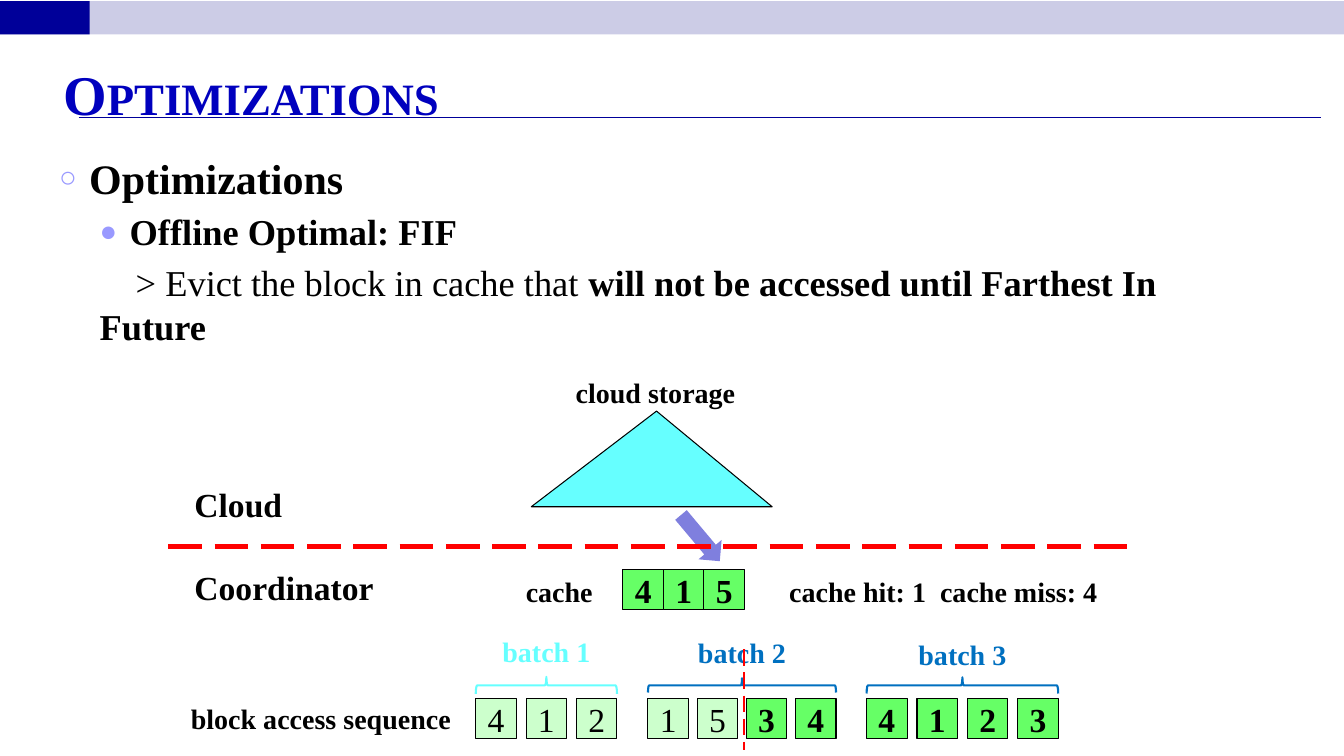
"""Builds the slide on the offline optimal caching strategy."""
from lxml import etree
from pptx import Presentation
from pptx import util as u
from pptx.dml.color import RGBColor
from pptx.enum import dml, shapes, text
from pptx.oxml.ns import qn

FONT = "Times New Roman"
BLACK, WHITE, RED = "000000", "FFFFFF", "FF0000"
NAVY, TITLE_BLUE, LAVENDER, BULLET = "000099", "0000BE", "CCCCE6", "9999FF"
AQUA, BLUE, USED, PENDING = "66FFFF", "0070C0", "CCFFCC", "66FF66"

TITLE = "Optimizations"
# level, left margin, first-line indent, space before, size, bullet, runs
OUTLINE = [
    (0, 0.76, -0.76, 6, 30, ("○", 70), [("Optimizations", True)]),
    (1, 1.78, -0.76, 5, 26, ("●", 80), [("Offline Optimal: FIF", True)]),
    (1, 1.02, 0.91, 5, 26, None, [
        ("> Evict the block in cache that ", False),
        ("will not be accessed until Farthest In Future", True)]),
]
# name, colour, first block left, step, blocks, accessed count, label top, brace depth
BATCHES = [
    ("batch 1", AQUA, 11.99, 1.27, "412", 3, 15.85, 0.43),
    ("batch 2", BLUE, 16.33, 1.24, "1534", 2, 15.88, 0.36),
    ("batch 3", BLUE, 21.84, 1.27, "4123", 0, 15.93, 0.41),
]
CACHE = "415"
CAPTIONS = [
    ("cache", 12.95, 14.35, 2.29),
    ("cache hit: 1  cache miss: 4", 19.23, 14.33, 9.09),
    ("cloud storage", 13.79, 9.32, 5.46),
    ("block access sequence", 4.52, 17.53, 7.14),
]
ZONES = [("Cloud", 12.07, 2.9), ("Coordinator", 14.17, 5.11)]
BLOCK, BLOCK_TOP, CACHE_LEFT, CACHE_TOP = 1.02, 17.6, 15.7, 14.35
BRACE_MIDDLE, LABEL_WIDTH, CAPTION_HEIGHT = 17.27, 3.91, 1.12

deck = Presentation()
deck.slide_width, deck.slide_height = u.Cm(33.87), u.Cm(19.05)
slide = deck.slides.add_slide(deck.slide_layouts[6])


def rgb(value):
    return RGBColor.from_string(value)


def style(font, size, colour=BLACK, bold=None):
    font.name, font.size, font.bold = FONT, u.Pt(size), bold
    font.color.rgb = rgb(colour)


def add_figure(kind, box, fill, line=None, width=0.75):
    figure = slide.shapes.add_shape(kind, *map(u.Cm, box))
    figure.shadow.inherit = False
    figure.fill.solid()
    figure.fill.fore_color.rgb = rgb(fill)
    if line:
        figure.line.color.rgb = rgb(line)
        figure.line.width = u.Pt(width)
    else:
        figure.line.fill.background()
    return figure


def add_rule(start, end, colour, width, dashed=True):
    rule = slide.shapes.add_connector(
        shapes.MSO_CONNECTOR.STRAIGHT, *map(u.Cm, start + end))
    rule.line.color.rgb = rgb(colour)
    rule.line.width = u.Pt(width)
    if dashed:
        rule.line.dash_style = dml.MSO_LINE.LONG_DASH
    etree.SubElement(rule._element.spPr, qn("a:effectLst"))


def add_frame(box, anchor=text.MSO_ANCHOR.TOP):
    frame = slide.shapes.add_textbox(*map(u.Cm, box)).text_frame
    frame.word_wrap, frame.vertical_anchor = True, anchor
    return frame


def write(frame, words, size, colour=BLACK, bold=True, align=text.PP_ALIGN.CENTER):
    line = frame.paragraphs[0]
    line.text, line.alignment = words, align
    style(line.font, size, colour, bold)
    return line


def add_caption(words, left, top, width, colour=BLACK):
    frame = add_frame((left, top, width, CAPTION_HEIGHT), text.MSO_ANCHOR.MIDDLE)
    write(frame, words, 20, colour)


def add_block(number, left, top, accessed=False):
    block = add_figure(shapes.MSO_SHAPE.RECTANGLE, (left, top, BLOCK, BLOCK),
                       USED if accessed else PENDING, BLACK)
    frame = block.text_frame
    frame.margin_left = frame.margin_right = 0
    frame.margin_top = frame.margin_bottom = 0
    frame.vertical_anchor = text.MSO_ANCHOR.MIDDLE
    write(frame, number, 24, bold=not accessed)


def add_bullet(props, symbol, percent):
    colour = etree.SubElement(props, qn("a:buClr"))
    etree.SubElement(colour, qn("a:srgbClr"), val=BULLET)
    etree.SubElement(props, qn("a:buSzPct"), val=str(percent * 1000))
    etree.SubElement(props, qn("a:buFont"), typeface=FONT)
    etree.SubElement(props, qn("a:buChar"), char=symbol)


def add_outline():
    frame = add_frame((1.24, 3.71, 30.4, 13.92))
    for i, (level, margin, indent, before, size, bullet, runs) in enumerate(OUTLINE):
        point = frame.add_paragraph() if i else frame.paragraphs[0]
        point.level = level
        props = point._p.get_or_add_pPr()
        props.set("marL", str(u.Cm(margin)))
        props.set("indent", str(u.Cm(indent)))
        if bullet:
            add_bullet(props, *bullet)
        point.space_before = u.Pt(before)
        style(point.font, size)
        for words, bold in runs:
            run = point.add_run()
            run.text, run.font.bold = words, bold


def add_batch(name, colour, left, step, blocks, accessed, label_top, depth):
    for i, number in enumerate(blocks):
        add_block(number, left + i * step, BLOCK_TOP, i < accessed)
    span = (len(blocks) - 1) * step + BLOCK
    centre = left + span / 2
    brace = add_figure(
        shapes.MSO_SHAPE.RIGHT_BRACE,
        (centre - depth / 2, BRACE_MIDDLE - span / 2, depth, span), WHITE, colour, 1.5)
    brace.rotation = 270
    add_caption(name, centre - LABEL_WIDTH / 2, label_top, LABEL_WIDTH, colour)


def main():
    for width, colour in ((33.87, LAVENDER), (2.26, NAVY)):
        add_figure(shapes.MSO_SHAPE.RECTANGLE, (0, 0.03, width, 0.84), colour)
    add_rule((1.98, 2.97), (33.3, 2.97), NAVY, 0.75, dashed=False)

    fetch = add_figure(shapes.MSO_SHAPE.RIGHT_ARROW, (16.89, 13.18, 1.52, 0.76), TITLE_BLUE)
    fetch.rotation = 50
    tint = fetch._element.spPr.find(".//" + qn("a:srgbClr"))
    etree.SubElement(tint, qn("a:alpha"), val="50000")

    heading = add_frame((1.35, 1.32, 31.12, 1.88), text.MSO_ANCHOR.BOTTOM)
    heading.margin_bottom = 0
    title = write(heading, TITLE, 40, TITLE_BLUE, align=text.PP_ALIGN.LEFT)
    title.font._element.set("cap", "small")
    add_outline()

    for batch in BATCHES:
        add_batch(*batch)
    for i, number in enumerate(CACHE):
        add_block(number, CACHE_LEFT + i * BLOCK, CACHE_TOP)

    storage = add_figure(shapes.MSO_SHAPE.ISOSCELES_TRIANGLE,
                         (13.39, 10.36, 6.07, 2.41), AQUA, BLACK)
    storage.adjustments[0] = 0.52
    for zone, top, width in ZONES:
        write(add_frame((4.65, top, width, 1.27)), zone, 24, align=text.PP_ALIGN.LEFT)
    for caption in CAPTIONS:
        add_caption(*caption)
    add_rule((4.24, 13.77), (28.58, 13.77), RED, 3)
    add_rule((18.75, 16.36), (18.75, 18.9), RED, 1.5)
    deck.save("out.pptx")


if __name__ == "__main__":
    main()
